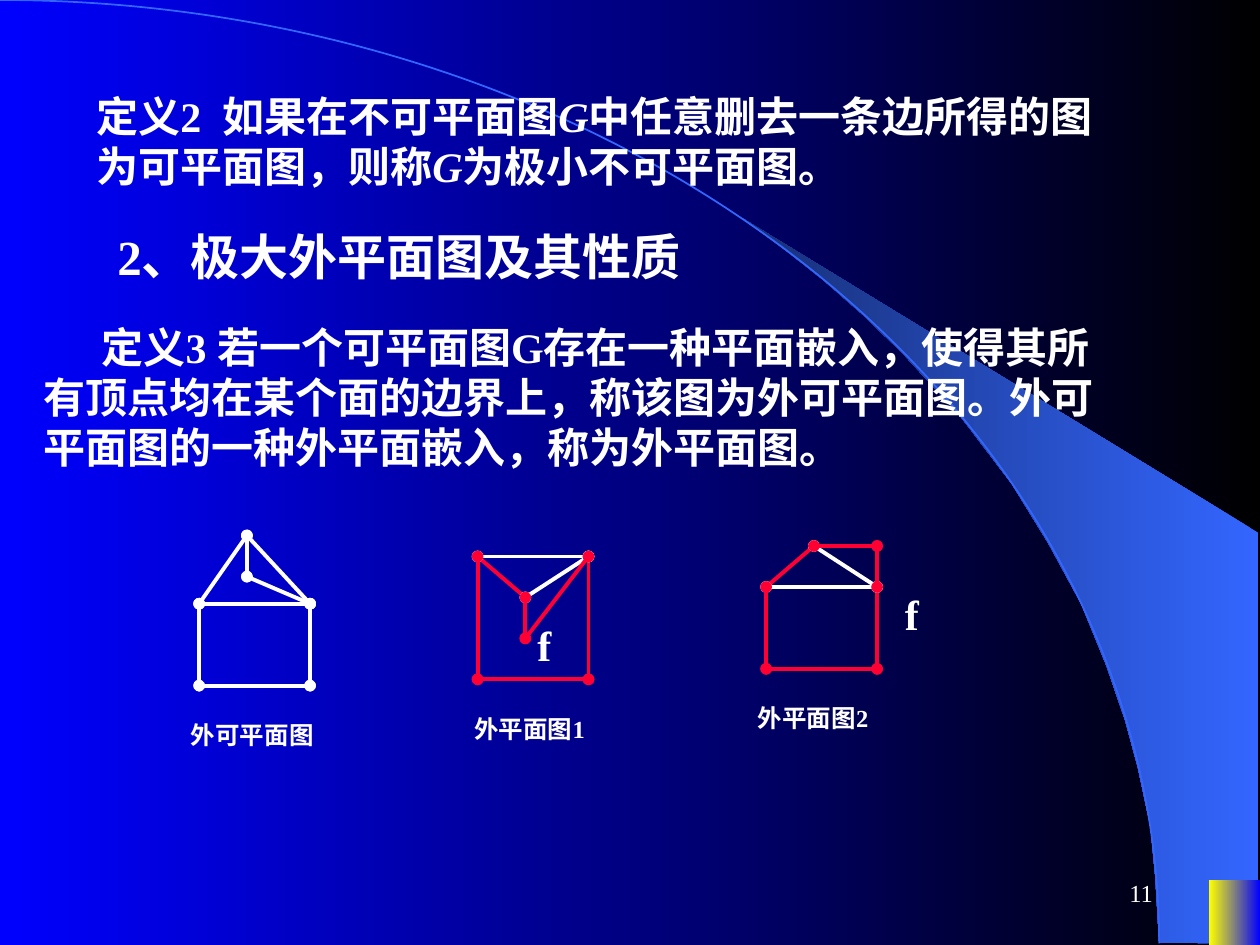
from lxml.etree import SubElement
from pptx import Presentation
from pptx.dml.color import RGBColor
from pptx.enum.shapes import MSO_CONNECTOR as Connector, MSO_SHAPE as Shape
from pptx.enum.text import MSO_ANCHOR as Anchor, MSO_AUTO_SIZE as AutoSize, PP_ALIGN as Align
from pptx.oxml.ns import qn
from pptx.util import Pt

BLACK, WHITE, RED = "000000", "FFFFFF", "FF0033"
BLUE, SKY, NAVY, YELLOW = "0000FF", "3366FF", "172F75", "FFFF00"

BAND = [(662.4, 538.6), (719.3, 539.3), (719.3, 304.6), (424.1, 124.6), (449.3, 143.3),
        (470.2, 159.8), (493.2, 180), (515.5, 201.6), (548.6, 237.6), (578.2, 276.5),
        (599, 310.3), (617.8, 344.9), (632.2, 380.2), (643, 411.8), (650.2, 438.5),
        (657.4, 472.3), (660.2, 501.1)]

LEFT, MIDDLE, RIGHT = 0, 27.3, 63.4
HOUSE = {"origin": (113.8, 306), "edges": "al lr pq lp rq ar ai ir", "white": "al lr pq lp rq ar ai ir",
         "vertices": {"a": (MIDDLE, 0), "i": (MIDDLE, 23.5), "l": (LEFT, 39), "r": (RIGHT, 39),
                      "p": (LEFT, 85.8), "q": (RIGHT, 85.8)}}
INNER_FACE = {"origin": (272.9, 318), "edges": "al lr pq lp rq ar ai ir", "white": "lr ar",
              "vertices": {"a": (MIDDLE, 23.4), "i": (MIDDLE, 46.8), "l": (LEFT, 0), "r": (RIGHT, 0),
                           "p": (LEFT, 70.2), "q": (RIGHT, 70.2)}}
OUTER_FACE = {"origin": (437.8, 312), "edges": "al lr pq lp rq ar ai ir", "white": "lr ar",
              "vertices": {"a": (MIDDLE, 0), "i": (RIGHT, 0), "l": (LEFT, 23.4), "r": (RIGHT, 23.4),
                           "p": (LEFT, 70.2), "q": (RIGHT, 70.2)}}


def color(value):
    return RGBColor.from_string(value)


class Board:
    """Draws gradients, text and graphs on one slide in a shared style."""

    font = "Times New Roman"
    edge_width = 2.25

    def __init__(self, page):
        self.page = page

    def gradient(self, fill, first, last):
        fill.gradient()
        fill.gradient_angle = 180
        for stop, value, position in zip(fill.gradient_stops, (first, last), (0, 1)):
            stop.color.rgb = color(value)
            stop.position = position

    def block(self, shape, first, last):
        shape.shadow.inherit = False
        self.gradient(shape.fill, first, last)
        shape.line.fill.background()

    def polygon(self, points, first, last):
        start, *others = [(Pt(x), Pt(y)) for x, y in points]
        builder = self.page.shapes.build_freeform(*start, scale=1.0)
        builder.add_line_segments(others, close=True)
        self.block(builder.convert_to_shape(), first, last)

    def rectangle(self, left, top, width, height, first, last):
        shape = self.page.shapes.add_shape(Shape.RECTANGLE, Pt(left), Pt(top), Pt(width), Pt(height))
        self.block(shape, first, last)

    def arc(self, left, top, width, height, value):
        shape = self.page.shapes.add_shape(Shape.ARC, Pt(left), Pt(top), Pt(width), Pt(height))
        shape.shadow.inherit = False
        shape.fill.background()
        shape.line.color.rgb = color(value)
        shape.line.width = Pt(1)

    def text(self, left, top, width, height, *spans, size=24, bold=True, indent=0, tab=None):
        box = self.page.shapes.add_textbox(Pt(left), Pt(top), Pt(width), Pt(height))
        frame = box.text_frame
        frame.word_wrap = True
        frame.auto_size = AutoSize.SHAPE_TO_FIT_TEXT
        para = frame.paragraphs[0]
        properties = para._p.get_or_add_pPr()
        properties.set("indent", str(Pt(indent)))
        if tab:
            stops = SubElement(properties, qn("a:tabLst"))
            SubElement(stops, qn("a:tab"), pos=str(Pt(tab)), algn="l")
        for words in spans:
            span = para.add_run()
            span.text = words
            span.font.name = self.font
            span.font.size = Pt(size)
            span.font.bold = bold
            span.font.italic = words == "G"
            span.font.color.rgb = color(WHITE)
        return box

    def page_number(self, left, top, width, height, number):
        frame = self.text(left, top, width, height, number, size=14, bold=False).text_frame
        frame.auto_size = AutoSize.NONE
        frame.vertical_anchor = Anchor.MIDDLE
        frame.paragraphs[0].alignment = Align.RIGHT

    def edge(self, start, end, value):
        line = self.page.shapes.add_connector(Connector.STRAIGHT, *map(Pt, start + end))
        line.line.color.rgb = color(value)
        line.line.width = Pt(self.edge_width)
        outline = line.line._get_or_add_ln()
        for tag in ("a:headEnd", "a:tailEnd"):
            SubElement(outline, qn(tag), type="oval")
        SubElement(line._element.spPr, qn("a:effectLst"))

    def graph(self, origin, vertices, edges, white):
        x, y = origin
        places = {name: (x + across, y + down) for name, (across, down) in vertices.items()}
        for pair in edges.split():
            start, end = pair
            self.edge(places[start], places[end], WHITE if pair in white.split() else RED)


def main():
    deck = Presentation()
    deck.slide_width, deck.slide_height = Pt(720), Pt(540)
    page = deck.slides.add_slide(deck.slide_layouts[6])
    board = Board(page)

    board.gradient(page.background.fill, BLACK, BLUE)
    board.polygon(BAND, SKY, NAVY)
    board.arc(-662.4, 0, 1324.8, 1078, SKY)
    board.rectangle(691, 502.6, 29, 37.4, BLUE, YELLOW)

    board.text(48, 48, 606, 65, "定义2\t如果在不可平面图", "G", "中任意删去一条边所得的图为可平面图，则称",
               "G", "为极小不可平面图。", tab=83.4)
    board.text(30, 126, 642, 41, "2、极大外平面图及其性质", size=28, indent=30)
    board.text(18, 180, 630, 93.6, "定义3 若一个可平面图G存在一种平面嵌入，使得其所有顶点均在某个面的边界上，"
               "称该图为外可平面图。外可平面图的一种外平面嵌入，称为外平面图。", indent=33)

    figures = [(HOUSE, "外可平面图", 102, 408), (INNER_FACE, "外平面图1", 264, 404.6),
               (OUTER_FACE, "外平面图2", 426, 398.4)]
    for figure, caption, left, top in figures:
        board.graph(**figure)
        board.text(left, top, 96, 24.2, caption, size=14)
    for left, top, width in [(300, 350.6, 31), (510, 332.6, 37.4)]:
        board.text(left, top, width, 36, "f")

    board.page_number(516, 492, 150, 36, "11")
    deck.save("out.pptx")


if __name__ == "__main__":
    main()
